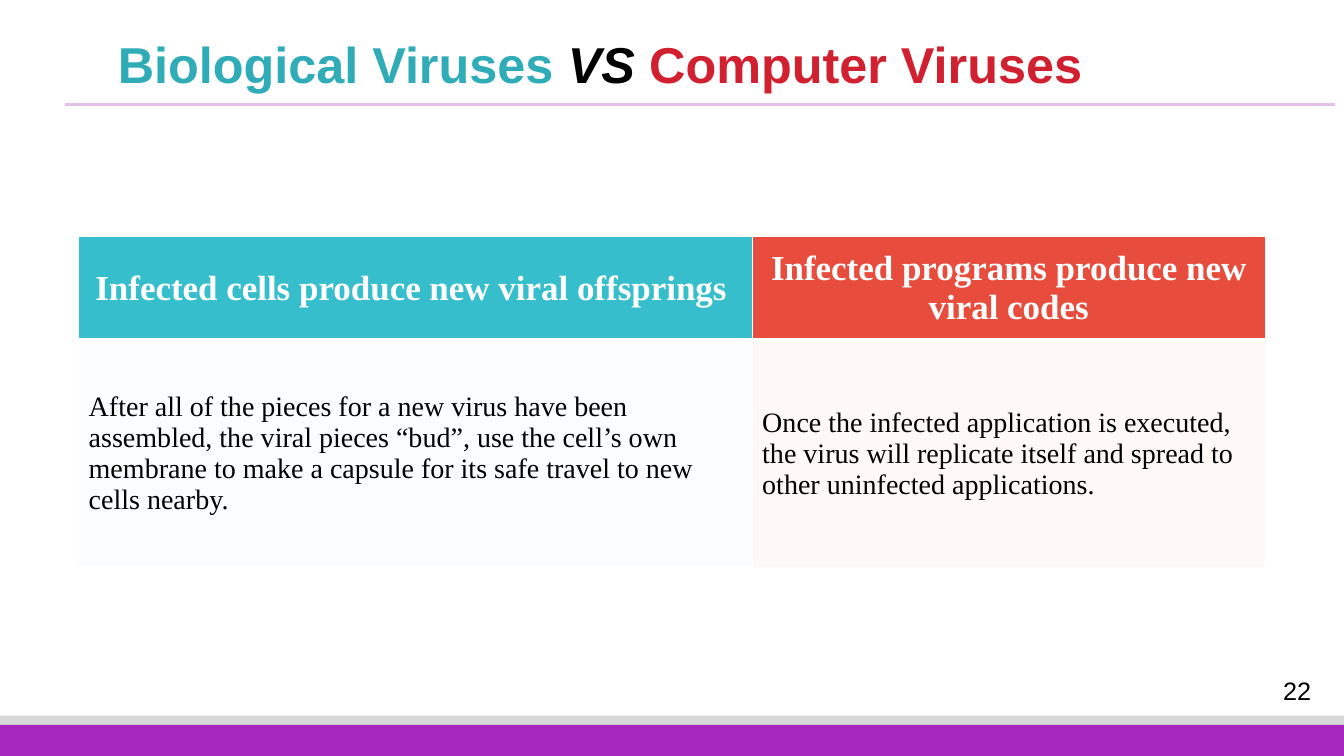
from dataclasses import dataclass

from lxml.etree import SubElement
from pptx import Presentation
from pptx.dml.color import RGBColor as RGB
from pptx.enum.shapes import MSO_CONNECTOR as LINE, MSO_SHAPE as SHAPE
from pptx.enum.text import MSO_ANCHOR as ANCHOR, PP_ALIGN as ALIGN
from pptx.oxml.ns import qn
from pptx.util import Inches, Pt


@dataclass(frozen=True)
class Theme:
    sans: str = "Arial"
    serif: str = "Times New Roman"
    black: str = "000000"
    white: str = "FFFFFF"
    gray: str = "D9D9D9"
    purple: str = "A728BE"
    lilac: str = "E4BFEA"
    teal: str = "2FACB7"
    red: str = "D1202F"
    aqua: str = "37BECC"
    coral: str = "E74C3C"
    mist: str = "F8FDFD"
    blush: str = "FEF6F5"
    title: int = 36
    head: int = 25
    body: int = 20
    number: int = 18
    alpha: int = 70


THEME = Theme()
ROWS = [
    [("Infected cells produce new viral offsprings ", THEME.aqua),
     ("Infected programs produce new viral codes", THEME.coral)],
    [("After all of the pieces for a new virus have been assembled, "
      "the viral pieces “bud”, use the cell’s own membrane to make a "
      "capsule for its safe travel to new cells nearby.", THEME.mist),
     ("Once the infected application is executed, the virus will replicate "
      "itself and spread to other uninfected applications.", THEME.blush)],
]


def write(para, text, size, color, face=THEME.sans, bold=False, italic=False):
    run = para.add_run()
    run.text = text
    font = run.font
    font.name, font.size = face, Pt(size)
    font.bold, font.italic = bold, italic
    font.color.rgb = RGB.from_string(color)


def add_band(slide, top, height, color):
    band = slide.shapes.add_shape(SHAPE.RECTANGLE, 0, Inches(top), Inches(13.33), Inches(height))
    band.shadow.inherit = False
    band.fill.solid()
    band.fill.fore_color.rgb = RGB.from_string(color)
    band.line.fill.background()


def add_rule(slide, left, right, top):
    rule = slide.shapes.add_connector(
        LINE.STRAIGHT, Inches(left), Inches(top), Inches(right), Inches(top))
    rule.line.color.rgb = RGB.from_string(THEME.lilac)
    rule.line.width = Pt(2.25)
    SubElement(rule._element.spPr, qn("a:effectLst"))


def add_box(slide, left, top, width, height, anchor=ANCHOR.TOP):
    box = slide.shapes.add_textbox(Inches(left), Inches(top), Inches(width), Inches(height))
    frame = box.text_frame
    frame.word_wrap = True
    frame.vertical_anchor = anchor
    return frame.paragraphs[0]


def add_edges(cell, **widths):
    props = cell._tc.get_or_add_tcPr()
    for place, (side, width) in enumerate(widths.items()):
        edge = props.makeelement(qn(f"a:ln{side}"), {"w": str(Pt(width))})
        fill = SubElement(edge, qn("a:solidFill"))
        SubElement(fill, qn("a:srgbClr"), val=THEME.white)
        props.insert(place, edge)


def fill_cell(cell, text, color, head):
    cell.vertical_anchor = ANCHOR.MIDDLE
    cell.fill.solid()
    cell.fill.fore_color.rgb = RGB.from_string(color)
    para = cell.text_frame.paragraphs[0]
    if head:
        para.alignment = ALIGN.CENTER
        write(para, text, THEME.head, THEME.white, face=THEME.serif, bold=True)
        add_edges(cell, L=1, R=1, T=1, B=3)
    else:
        tint = cell._tc.tcPr.find(".//" + qn("a:srgbClr"))
        SubElement(tint, qn("a:alpha"), val=str(THEME.alpha * 1000))
        write(para, text, THEME.body, THEME.black, face=THEME.serif)
        add_edges(cell, L=1, R=1, T=3, B=1)


def add_grid(slide):
    table = slide.shapes.add_table(
        2, 2, Inches(0.78), Inches(2.35), Inches(11.77), Inches(3.28)).table
    for col, width in zip(table.columns, (6.68, 5.09)):
        col.width = Inches(width)
    for row, height in zip(table.rows, (1.02, 2.26)):
        row.height = Inches(height)
    for r, row in enumerate(ROWS):
        for c, (text, color) in enumerate(row):
            fill_cell(table.cell(r, c), text, color, head=r == 0)


def main():
    deck = Presentation()
    deck.slide_width, deck.slide_height = Inches(13.33), Inches(7.5)
    slide = deck.slides.add_slide(deck.slide_layouts[6])

    add_band(slide, 7.1, 0.4, THEME.gray)
    add_band(slide, 7.19, 0.31, THEME.purple)
    add_rule(slide, 0.64, 13.24, 1.04)

    number = add_box(slide, 12.41, 6.65, 0.91, 0.39, anchor=ANCHOR.MIDDLE)
    number.alignment = ALIGN.CENTER
    write(number, "22", THEME.number, THEME.black)

    title = add_box(slide, 1.07, 0.35, 11.37, 0.48)
    title.line_spacing = 0.9
    write(title, "Biological Viruses ", THEME.title, THEME.teal, bold=True)
    write(title, "VS", THEME.title, THEME.black, bold=True, italic=True)
    write(title, " Computer Viruses", THEME.title, THEME.red, bold=True)

    add_grid(slide)
    deck.save("out.pptx")


if __name__ == "__main__":
    main()
